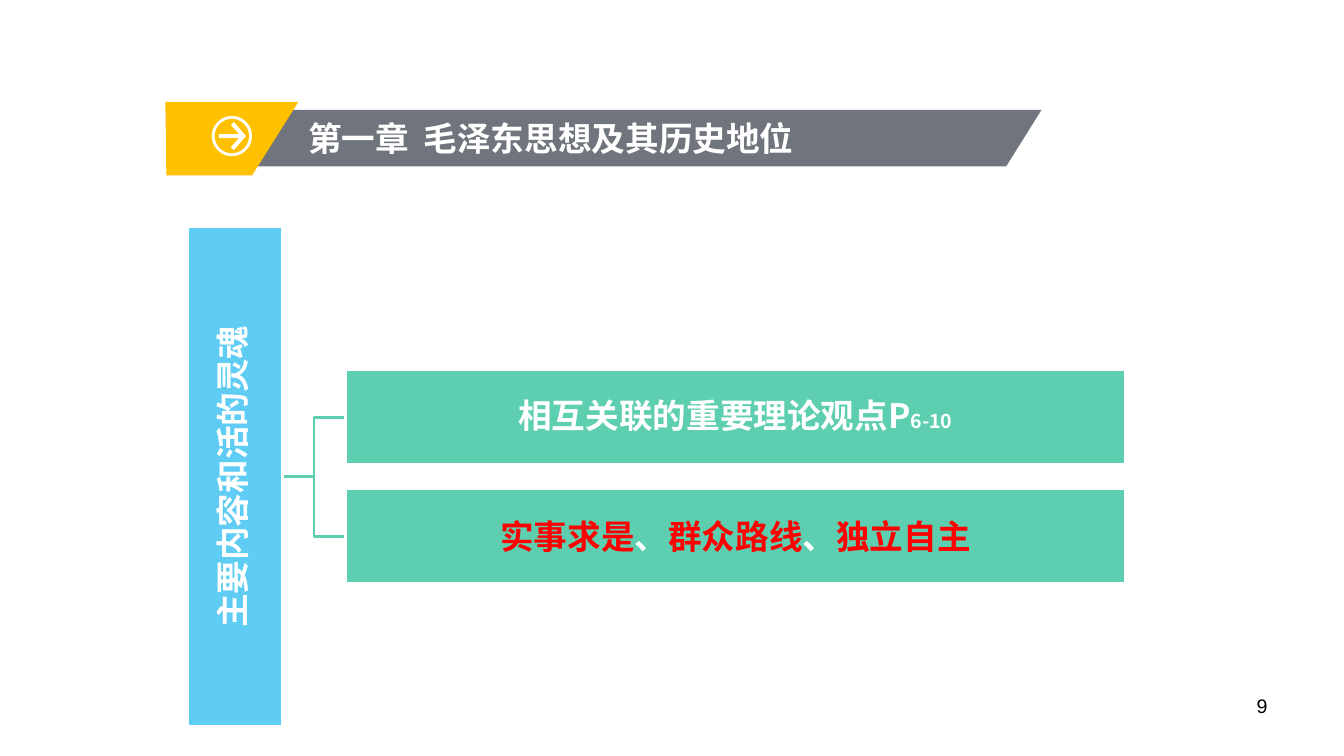
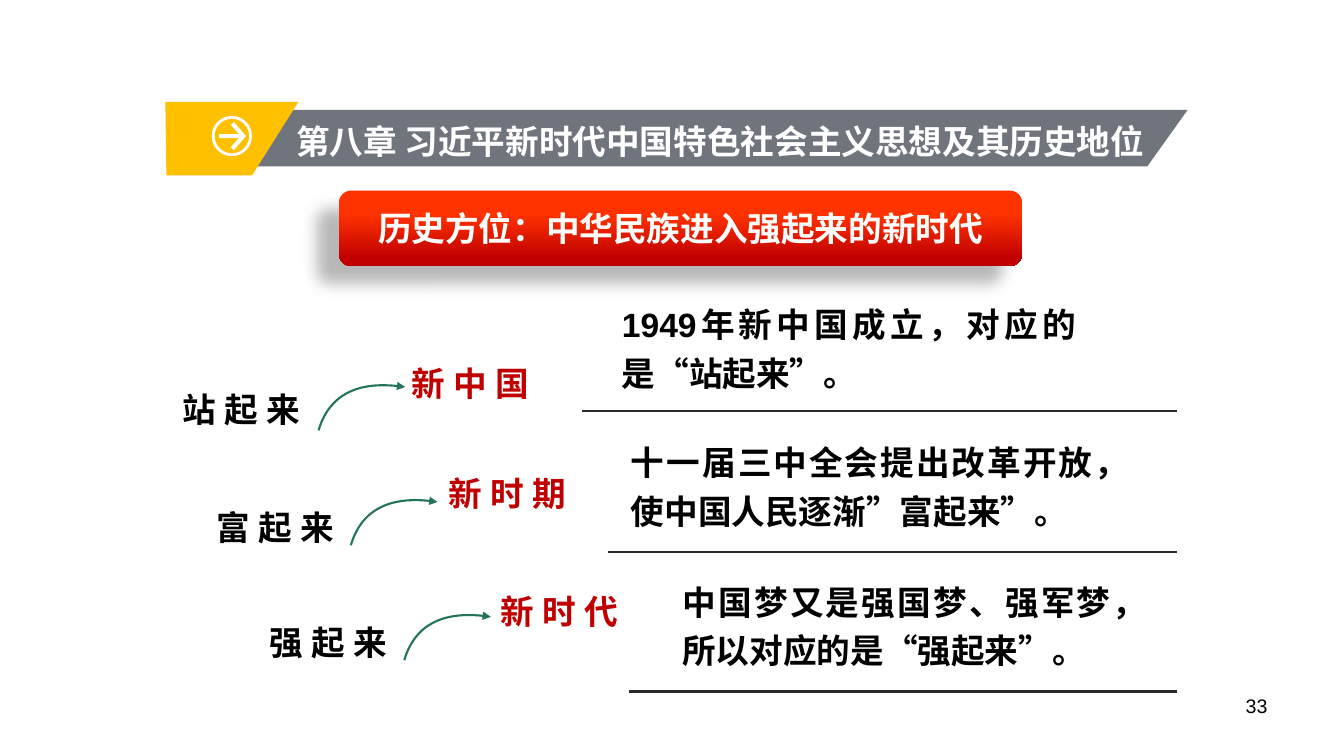
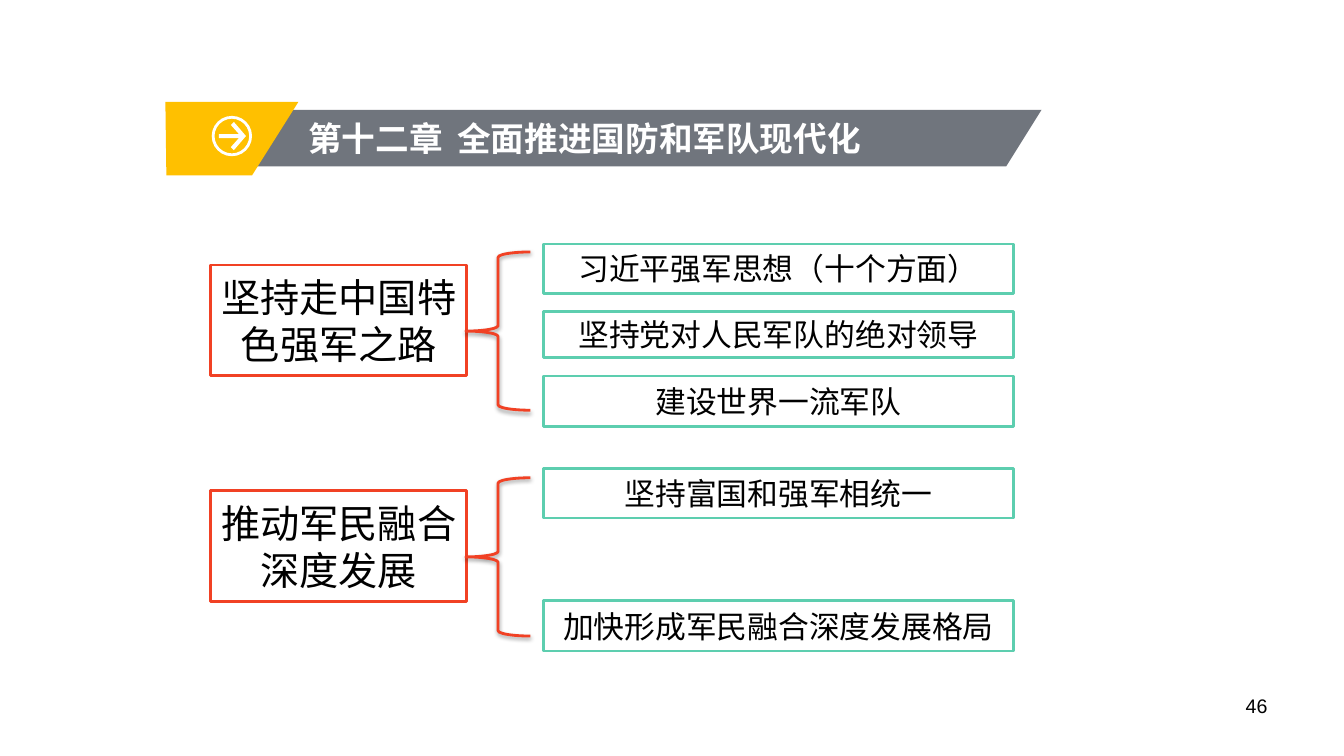
from dataclasses import dataclass

from lxml.etree import SubElement
from pptx import Presentation
from pptx.dml.color import RGBColor
from pptx.enum.shapes import MSO_CONNECTOR as CONN, MSO_SHAPE as SHAPE
from pptx.enum.text import MSO_ANCHOR as ANCHOR, PP_ALIGN as ALIGN
from pptx.oxml.ns import qn
from pptx.util import Inches, Pt


@dataclass(frozen=True)
class Theme:
    cjk: str = "Noto Sans CJK SC"
    latin: str = "Arial"
    white: str = "FFFFFF"
    black: str = "000000"
    gray: str = "70757D"
    gold: str = "FFC000"
    blue: str = "5ECCF3"
    green: str = "5DCEAF"
    dark_green: str = "23735D"
    rule: str = "292929"
    red: str = "FF0000"
    dark_red: str = "C00000"
    bright_red: str = "FF3300"
    brick: str = "F14124"
    small: int = 14
    item: int = 22
    body: int = 24
    large: int = 28


T = Theme()

HEADERS = [
    dict(page="9", chapter="第一章", name="毛泽东思想及其历史地位",
         gap=5, at=(2.96, 1.12, 5.08, 0.5), right=10.33, slant=0.35),
    dict(page="33", chapter="第八章", name="习近平新时代中国特色社会主义思想及其历史地位",
         gap=0, at=(2.84, 1.15, 8.66, 0.5), right=11.78, slant=0.4),
    dict(page="46", chapter="第十二章", name="全面推进国防和军队现代化",
         gap=5, at=(2.96, 1.12, 5.75, 0.5), right=10.33, slant=0.35),
]
ICON_ARROW = [(2.32, 1.49), (2.29, 1.46), (2.37, 1.37), (2.17, 1.37), (2.17, 1.33),
              (2.37, 1.33), (2.29, 1.24), (2.32, 1.21), (2.44, 1.35)]

SOUL = "主要内容和活的灵魂"
BRANCHES = [
    (0.9, [("相互关联的重要理论观点P", {}), ("6-10", {"size": T.small})]),
    (1.0, [("实事求是", {"color": T.red}), ("、", {}), ("群众路线", {"color": T.red}),
           ("、", {}), ("独立自主", {"color": T.red})]),
]

BANNER = "历史方位：中华民族进入强起来的新时代"
STAGES = [
    dict(stage="站起来", stage_at=(1.71, 3.81), era="新中国", era_at=(3.98, 3.55),
         arrow=(3.16, 4.27), note="1949年新中国成立，对应的是“站起来”。",
         note_at=(6.07, 2.89, 4.7, 1.07), rule=(5.77, 4.08)),
    dict(stage="富起来", stage_at=(2.05, 4.98), era="新时期", era_at=(4.35, 4.64),
         arrow=(3.48, 5.41), note="十一届三中全会提出改革开放，使中国人民逐渐”富起来”。",
         note_at=(6.16, 4.26, 5.13, 1.07), rule=(6.03, 5.48)),
    dict(stage="强起来", stage_at=(2.57, 6.12), era="新时代", era_at=(4.87, 5.81),
         arrow=(4.01, 6.55), note="中国梦又是强国梦、强军梦，所以对应的是“强起来”。",
         note_at=(6.67, 5.64, 4.8, 1.07), rule=(6.24, 6.86)),
]
RULE_RIGHT = 11.67
CURVE = [(0, 0), (0.11, -0.37), (0.41, -0.5), (0.86, -0.43)]
CURVE_STEPS = 24

TOPICS = [
    (2.63, "坚持走中国特色强军之路",
     [(2.42, 0.49, "习近平强军思想（十个方面）"),
      (3.09, 0.46, "坚持党对人民军队的绝对领导"),
      (3.73, 0.5, "建设世界一流军队")]),
    (4.87, "推动军民融合深度发展",
     [(4.65, 0.49, "坚持富国和强军相统一"),
      (5.96, 0.5, "加快形成军民融合深度发展格局")]),
]


def rgb(color):
    return RGBColor.from_string(color)


def style(sp, fill=None, line=None, width=2):
    sp.shadow.inherit = False
    if fill:
        sp.fill.solid()
        sp.fill.fore_color.rgb = rgb(fill)
    else:
        sp.fill.background()
    if line:
        sp.line.color.rgb = rgb(line)
        sp.line.width = Pt(width)
    else:
        sp.line.fill.background()
    return sp


def add_shape(s, kind, at, **look):
    return style(s.shapes.add_shape(kind, *map(Inches, at)), **look)


def add_free(s, points, close=True, **look):
    pts = [(Inches(x), Inches(y)) for x, y in points]
    fb = s.shapes.build_freeform(*pts[0])
    fb.add_line_segments(pts[1:], close=close)
    return style(fb.convert_to_shape(), **look)


def add_line(s, kind, start, end, color, width):
    c = s.shapes.add_connector(kind, *map(Inches, start + end))
    c.line.color.rgb = rgb(color)
    c.line.width = Pt(width)
    SubElement(c.element.spPr, qn("a:effectLst"))
    return c


def add_shadow(sp, alpha, blur, dist, angle):
    effects = sp.element.spPr.find(qn("a:effectLst"))
    shadow = SubElement(effects, qn("a:outerShdw"), blurRad=str(Pt(blur)), dist=str(Pt(dist)),
                        dir=str(angle * 60000), algn="ctr", rotWithShape="0")
    color = SubElement(shadow, qn("a:srgbClr"), val=T.black)
    SubElement(color, qn("a:alpha"), val=str(alpha * 1000))


def write(sp, runs, align=ALIGN.LEFT, anchor=ANCHOR.TOP, wrap=True, spacing=None,
          inset=None, **base):
    tf = sp.text_frame
    frame = dict(word_wrap=wrap, vertical_anchor=anchor)
    if inset is not None:
        sides = ("margin_left", "margin_right", "margin_top", "margin_bottom")
        frame.update(dict.fromkeys(sides, Inches(inset)))
    for key, value in frame.items():
        setattr(tf, key, value)
    p = tf.paragraphs[0]
    p.alignment = align
    if spacing:
        p.line_spacing = spacing
    for text, change in [(runs, {})] if isinstance(runs, str) else runs:
        f = dict(size=T.body, color=T.black, bold=True, font=T.cjk, spc=0) | base | change
        r = p.add_run()
        r.text = text
        for key, value in dict(size=Pt(f["size"]), bold=f["bold"], name=f["font"]).items():
            setattr(r.font, key, value)
        r.font.color.rgb = rgb(f["color"])
        rpr = r.font._element
        SubElement(rpr, qn("a:ea"), typeface=T.cjk)
        if f["spc"]:
            rpr.set("spc", str(f["spc"] * 100))


def add_text(s, at, runs, **fmt):
    write(s.shapes.add_textbox(*map(Inches, at)), runs, **fmt)


def write_middle(sp, runs, **fmt):
    write(sp, runs, align=ALIGN.CENTER, anchor=ANCHOR.MIDDLE, **fmt)


def add_slide(prs, page, chapter, name, gap, at, right, slant):
    s = prs.slides.add_slide(prs.slide_layouts[6])
    add_text(s, (9.56, 6.83, 3.11, 0.52), page, align=ALIGN.RIGHT,
             size=T.small, bold=False, font=T.latin)
    add_free(s, [(1.72, 1.09), (right, 1.09), (right - slant, 1.65), (1.72, 1.65)], fill=T.gray)
    add_free(s, [(1.64, 1.01), (2.96, 1.01), (2.5, 1.74), (1.65, 1.74)], fill=T.gold)
    add_text(s, at, [(chapter, {}), (" ", {"spc": gap}), (name, {})], wrap=False, color=T.white)
    ring = add_shape(s, SHAPE.DONUT, (2.1, 1.15, 0.4, 0.4), fill=T.white)
    ring.adjustments[0] = 0.07
    add_free(s, ICON_ARROW, fill=T.white)
    return s


def draw_branches(s):
    left, width, height, top, pitch = 3.43, 7.73, 0.94, 3.67, 1.18
    root_at = (1.86, 2.25, 0.94, 4.96)
    links = [add_line(s, CONN.ELBOW, (2.8, 4.73), (left, top + i * pitch + height / 2), T.green, 2)
             for i in range(len(BRANCHES))]
    root = add_shape(s, SHAPE.RECTANGLE, root_at, fill=T.blue, line=T.white)
    write_middle(root, SOUL, spacing=0.9, inset=0.02, color=T.white)
    root.text_frame._txBody.bodyPr.set("vert", "vert270")
    for i, (link, (spacing, runs)) in enumerate(zip(links, BRANCHES)):
        box = add_shape(s, SHAPE.RECTANGLE, (left, top + i * pitch, width, height),
                        fill=T.green, line=T.white)
        write_middle(box, runs, spacing=spacing, inset=0.02, color=T.white)
        link.begin_connect(root, 3)
        link.end_connect(box, 1)


def curve_points(x, y):
    for i in range(CURVE_STEPS + 1):
        t = i / CURVE_STEPS
        weights = ((1 - t) ** 3, 3 * t * (1 - t) ** 2, 3 * t * t * (1 - t), t ** 3)
        yield (x + sum(w * c[0] for w, c in zip(weights, CURVE)),
               y + sum(w * c[1] for w, c in zip(weights, CURVE)))


def draw_stages(s):
    for row in STAGES:
        x, y = row["rule"]
        add_line(s, CONN.STRAIGHT, (x, y), (RULE_RIGHT, y), T.rule, 1.5)
        for key, color in (("stage", T.black), ("era", T.dark_red)):
            add_text(s, row[key + "_at"] + (1.97, 0.5), row[key], color=color, spc=6)
        arrow = add_free(s, curve_points(*row["arrow"]), close=False, line=T.dark_green, width=1.5)
        SubElement(arrow.element.spPr.find(qn("a:ln")), qn("a:tailEnd"), type="triangle")
        add_text(s, row["note_at"], row["note"], align=ALIGN.JUSTIFY, spacing=1.2, font=T.latin)
    banner = add_shape(s, SHAPE.ROUNDED_RECTANGLE, (3.36, 1.89, 6.78, 0.75))
    banner.fill.gradient()
    banner.fill.gradient_angle = 270
    stops = ((0.3, T.bright_red), (0.9, T.dark_red))
    for stop, (position, color) in zip(banner.fill.gradient_stops, stops):
        stop.position = position
        stop.color.rgb = rgb(color)
    add_shadow(banner, 28, 11.8, 19.7, 141)
    write_middle(banner, BANNER, color=T.white)


def draw_topics(s):
    for top, topic, points in TOPICS:
        box = add_shape(s, SHAPE.RECTANGLE, (2.09, top, 2.54, 1.1), fill=T.white, line=T.brick)
        write_middle(box, topic, size=T.large, bold=False, inset=0.05)
        brace = add_shape(s, SHAPE.LEFT_BRACE, (4.62, top - 0.13, 0.64, 1.57), line=T.brick)
        add_shadow(brace, 38, 3.1, 1.6, 90)
        for y, height, text in points:
            box = add_shape(s, SHAPE.RECTANGLE, (5.39, y, 4.66, height),
                            fill=T.white, line=T.green)
            write_middle(box, text, size=T.item, bold=False)


def main():
    prs = Presentation()
    prs.slide_width, prs.slide_height = Inches(13.33), Inches(7.5)
    for header, draw in zip(HEADERS, (draw_branches, draw_stages, draw_topics)):
        draw(add_slide(prs, **header))
    prs.save("out.pptx")


if __name__ == "__main__":
    main()
